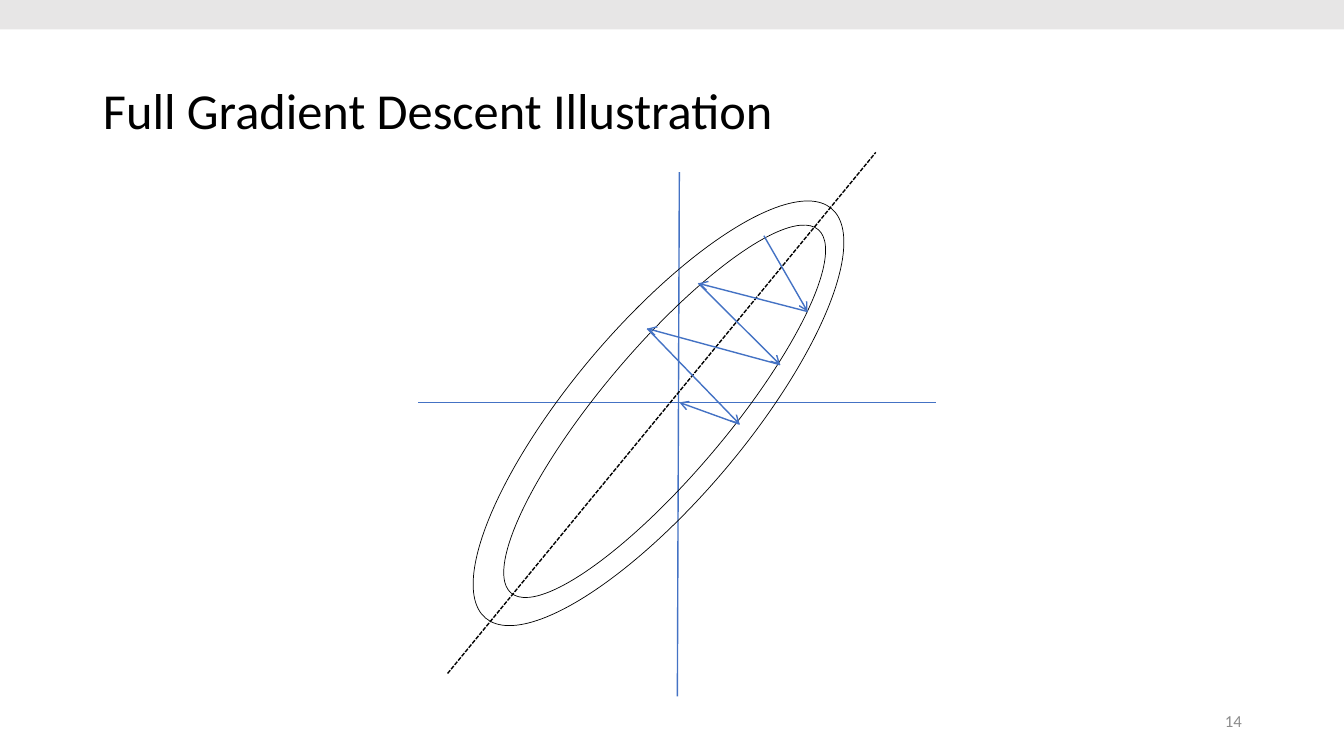
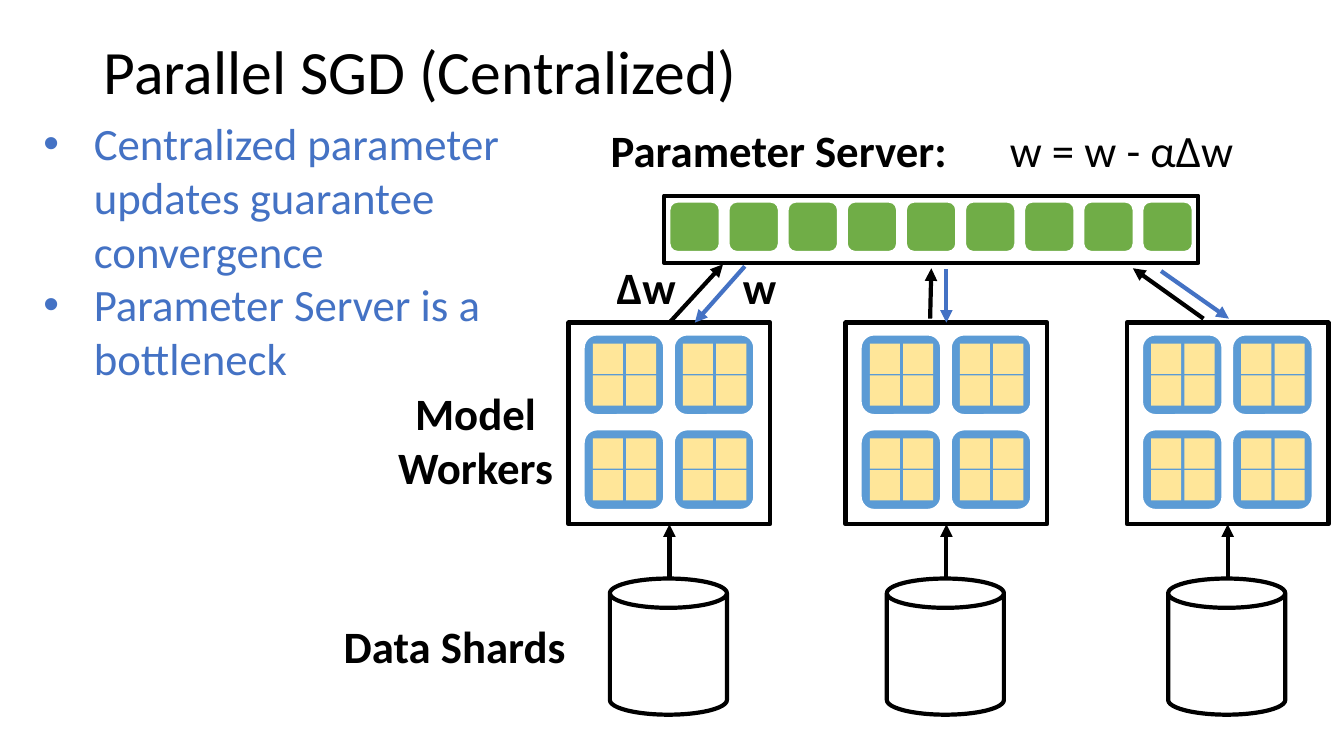
from itertools import pairwise, product

from lxml.etree import SubElement
from pptx import Presentation
from pptx.dml.color import RGBColor
from pptx.enum.dml import MSO_LINE as Dash
from pptx.enum.shapes import MSO_CONNECTOR as Wire, MSO_SHAPE as Kind
from pptx.enum.text import MSO_ANCHOR as Anchor, MSO_AUTO_SIZE as Fit, PP_ALIGN as Align
from pptx.oxml.ns import qn
from pptx.util import Cm, Pt

FONT = "Calibri"
BLACK = RGBColor(0x00, 0x00, 0x00)
WHITE = RGBColor(0xFF, 0xFF, 0xFF)
BLUE = RGBColor(0x44, 0x72, 0xC4)
SKY = RGBColor(0x5B, 0x9B, 0xD5)
GREEN = RGBColor(0x70, 0xAD, 0x47)
CREAM = RGBColor(0xFF, 0xE6, 0x99)
GRAY = RGBColor(0x8C, 0x8C, 0x8C)
BAND = RGBColor(0xE7, 0xE6, 0xE6)
WIDE, HIGH = 33.87, 19.05

SIDE = 5.08
WORK_Y = 8.13
COLUMNS = [
    (14.33, ((2.54, 0), (3.89, -1.47)), ((4.44, -1.42), (3.18, 0))),
    (21.31, ((2.13, -0.1), (2.16, -1.37)), ((2.54, -1.35), (2.54, 0))),
    (28.4, ((1.93, -0.1), (0.15, -1.37)), ((0.86, -1.3), (2.57, -0.1))),
]
LABELS = [
    ("w", 18.47, 6.43, 1.6, True),
    ("Δw", 15.29, 6.43, 2.3, True),
    ("Data Shards", 8.41, 15.47, 6.5, True),
    ("Parameter Server:", 15.14, 2.97, 9.8, True),
    ("w = w - αΔw", 25.2, 2.97, 7.5, False),
    ("Model\nWorkers", 9.5, 9.6, 4.97, True),
]


def style(par, size, color, bold=False, align=Align.LEFT):
    font = par.font
    font.name, font.size, font.bold = FONT, Pt(size), bold
    font.color.rgb = color
    par.alignment = align


def place(item, x, y, w, h):
    item.left, item.top, item.width, item.height = Cm(x), Cm(y), Cm(w), Cm(h)


def shape(shapes, kind, x, y, w, h, fill=None, line=None, width=1):
    item = shapes.add_shape(kind, Cm(x), Cm(y), Cm(w), Cm(h))
    item.shadow.inherit = False
    if fill is None:
        item.fill.background()
    else:
        item.fill.solid()
        item.fill.fore_color.rgb = fill
    if line is None:
        item.line.fill.background()
    else:
        item.line.color.rgb = line
        item.line.width = Pt(width)
    return item


def wire(shapes, x, y, start, end, color, width=1, head=None, dash=None):
    (ax, ay), (bx, by) = start, end
    item = shapes.add_connector(
        Wire.STRAIGHT, Cm(x + ax), Cm(y + ay), Cm(x + bx), Cm(y + by)
    )
    item.line.color.rgb = color
    item.line.width = Pt(width)
    if dash:
        item.line.dash_style = dash
    props = item._element.spPr
    if head:
        SubElement(props.find(qn("a:ln")), qn("a:tailEnd"), type=head)
    SubElement(props, qn("a:effectLst"))


def label(slide, text, x, y, w, h, size, color, bold, align):
    frame = slide.shapes.add_textbox(Cm(x), Cm(y), Cm(w), Cm(h)).text_frame
    frame.word_wrap = True
    frame.text = text
    for par in frame.paragraphs:
        style(par, size, color, bold, align)
    return frame


def title(slide, text, x, y, size):
    item = slide.shapes.title
    place(item, x, y, 29.21, 3.68)
    frame = item.text_frame
    frame.text = text
    frame.auto_size = Fit.NONE
    frame.vertical_anchor = Anchor.MIDDLE
    par = frame.paragraphs[0]
    style(par, size, BLACK)
    par.line_spacing = 0.9


def points(slide, items, x, y, w, h):
    body = slide.placeholders[1]
    place(body, x, y, w, h)
    frame = body.text_frame
    frame.text = "\n".join(items)
    frame.auto_size = Fit.NONE
    for par in frame.paragraphs:
        style(par, 32, BLUE)
        par.space_before = Pt(0)
        props = par._p.get_or_add_pPr()
        props.set("marL", str(Cm(1.27)))
        props.set("indent", str(-Cm(1.27)))


def plot(slide, x, y):
    shapes = slide.shapes
    wire(shapes, x, y, (6.62, 0.54), (6.57, 13.75), BLUE)
    wire(shapes, x, y, (0.04, 6.34), (13.1, 6.34), BLUE)
    for dx, dy, w, h in [(3.9, -0.14, 4.39, 13.51), (4.66, 0.57, 3.18, 11.99)]:
        ring = shape(shapes, Kind.OVAL, x + dx, y + dy, w, h, line=BLACK, width=0.5)
        ring.rotation = 40.2
    wire(shapes, x, y, (0.78, 13.17), (11.57, 0.04), BLACK, dash=Dash.SQUARE_DOT)
    steps = [(8.75, 2.14), (9.85, 4.05), (7.1, 3.34), (9.16, 5.39),
             (5.81, 4.48), (8.14, 6.89), (6.62, 6.34)]
    for start, end in pairwise(steps):
        wire(shapes, x, y, start, end, BLUE, head="arrow")


def server(slide, x, y):
    shapes = slide.shapes.add_group_shape().shapes
    shape(shapes, Kind.RECTANGLE, x, y, 13.46, 1.7, WHITE, BLACK, 3)
    for i in range(9):
        shape(shapes, Kind.ROUNDED_RECTANGLE, x + 0.13 + 1.49 * i, y + 0.15,
              1.27, 1.27, GREEN, WHITE, 1.5)


def model(shapes, x, y):
    shape(shapes, Kind.ROUNDED_RECTANGLE, x, y, 2.03, 2.03, SKY, WHITE, 1.5)
    for row, col in product(range(2), repeat=2):
        shape(shapes, Kind.RECTANGLE, x + 0.23 + 0.84 * col, y + 0.23 + 0.8 * row,
              0.76, 0.76, CREAM)


def worker(slide, x, y, push, pull):
    shape(slide.shapes, Kind.CAN, x + 1.04, y + 6.45, 2.95, 3.43, WHITE, BLACK, 3)
    shapes = slide.shapes.add_group_shape().shapes
    shape(shapes, Kind.RECTANGLE, x, y, SIDE, SIDE, WHITE, BLACK, 3)
    for row, col in product(range(2), repeat=2):
        model(shapes, x + 0.38 + 2.27 * col, y + 0.3 + 2.39 * row)
    feed = (SIDE / 2, 6.45), (SIDE / 2, SIDE)
    for ends, color in [(feed, BLACK), (push, BLACK), (pull, BLUE)]:
        wire(slide.shapes, x, y, *ends, color, 3, "triangle")


def descent(deck):
    slide = deck.slides.add_slide(deck.slide_layouts[5])
    title(slide, "Full Gradient Descent Illustration", 2.34, 1.02, 36)
    plot(slide, 10.5, 3.8)
    frame = label(slide, "14", 23.93, 17.65, 7.62, 1.02, 12, GRAY, False, Align.RIGHT)
    frame.vertical_anchor = Anchor.MIDDLE
    shape(slide.shapes, Kind.RECTANGLE, 0, 0, WIDE, 0.74, BAND)


def central(deck):
    slide = deck.slides.add_slide(deck.slide_layouts[1])
    title(slide, "Parallel SGD (Centralized)", 2.36, 0.05, 44)
    points(slide, ["Centralized parameter updates guarantee convergence",
                   "Parameter Server is a bottleneck"], 0.84, 2.79, 12.32, 7.09)
    for x, push, pull in COLUMNS:
        worker(slide, x, WORK_Y, push, pull)
    server(slide, 16.74, 4.93)
    for text, x, y, w, bold in LABELS:
        lines = text.count("\n") + 1
        align = Align.CENTER if lines > 1 else Align.LEFT
        label(slide, text, x, y, w, 0.26 + 1.37 * lines, 32, BLACK, bold, align)


def main():
    deck = Presentation()
    deck.slide_width, deck.slide_height = Cm(WIDE), Cm(HIGH)
    descent(deck)
    central(deck)
    deck.save("out.pptx")


if __name__ == "__main__":
    main()
